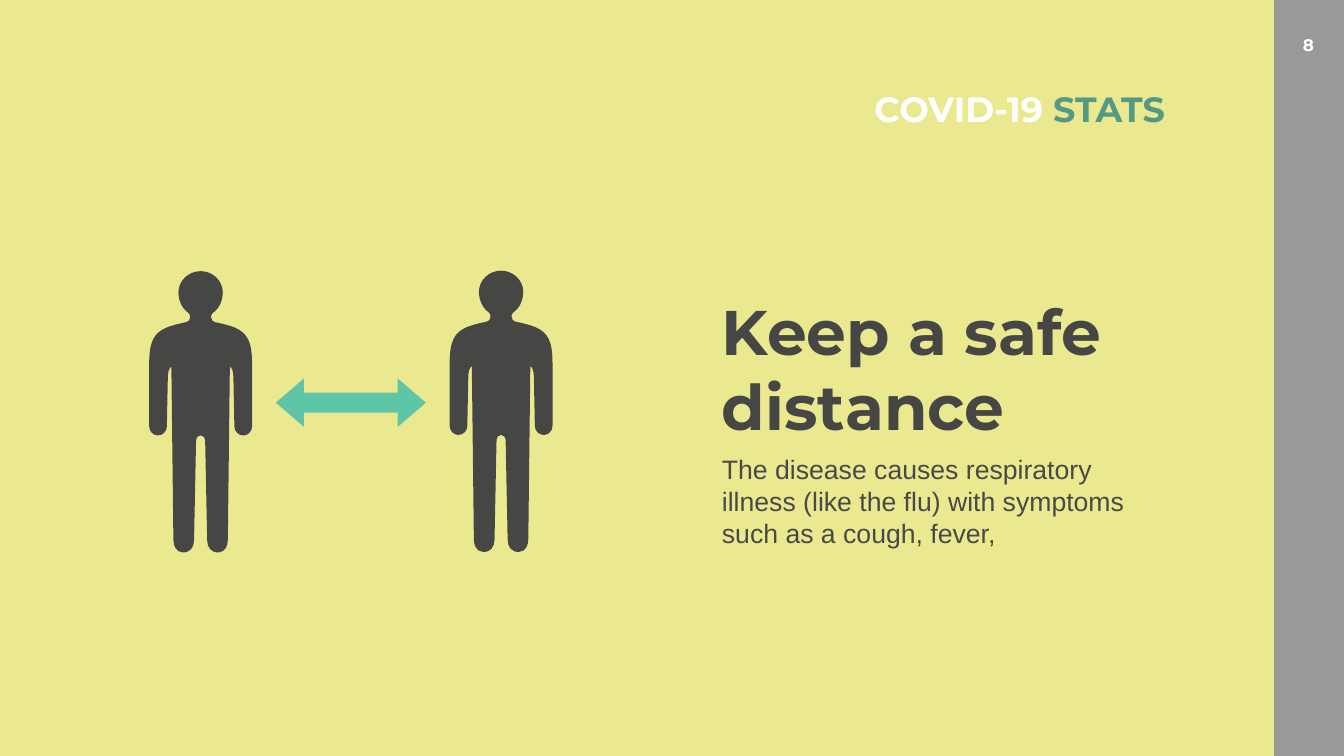
from lxml import etree
from pptx import Presentation
from pptx.dml.color import RGBColor
from pptx.enum.shapes import MSO_SHAPE
from pptx.enum.text import MSO_ANCHOR, MSO_AUTO_SIZE, PP_ALIGN
from pptx.oxml.ns import qn
from pptx.util import Pt

PX = 9144
WIDTH, HEIGHT = 2666, 1500
RECTANGLE = MSO_SHAPE.RECTANGLE
TOP = MSO_ANCHOR.TOP
NO_AUTOFIT = MSO_AUTO_SIZE.NONE
LEFT, CENTER, RIGHT = PP_ALIGN.LEFT, PP_ALIGN.CENTER, PP_ALIGN.RIGHT

YELLOW, GRAY, WHITE = "EBE990", "999999", "FFFFFF"
CHARCOAL, BODY_GRAY = "464745", "494949"
MINT, GREEN = "5FC5A7", "549983"
HEADING_FONT, BODY_FONT = "Montserrat", "Arial"

LEFT_HALF = [
    [(-24, 0), (-44, 19), (-44, 42)],
    [(-44, 56), (-38, 74), (-24, 83)],
    [(-22, 84), (-21, 86), (-21, 88)],
    [(-21, 92)],
    [(-21, 97), (-24, 100), (-28, 101)],
    [(-42, 104), (-55, 107), (-68, 112)],
    [(-93, 123), (-102, 140), (-102, 184)],
    [(-102, 308)],
    [(-102, 318), (-94, 326), (-85, 326)],
    [(-75, 326), (-67, 318), (-67, 308)],
    [(-65, 210)],
    [(-65, 199), (-62, 192), (-58, 189)],
    [(-54, 533)],
    [(-54, 545), (-49, 557), (-36, 558)],
    [(-21, 559), (-13, 548), (-13, 534)],
    [(-9, 335)],
    [(-9, 330), (-5, 326), (0, 326)],
]


def color(hex_code):
    return RGBColor.from_string(hex_code)


def place(shape, box):
    shape.left, shape.top, shape.width, shape.height = (n * PX for n in box)


def paint(shape, fill):
    shape.shadow.inherit = False
    shape.fill.solid()
    shape.fill.fore_color.rgb = color(fill)
    shape.line.fill.background()


def add_rectangle(slide, box, fill):
    paint(slide.shapes.add_shape(RECTANGLE, *(n * PX for n in box)), fill)


def add_outline(slide, points, fill):
    builder = slide.shapes.build_freeform(*points[0], scale=PX)
    builder.add_line_segments(points[1:])
    outline = builder.convert_to_shape()
    paint(outline, fill)
    return outline


def bend_segments(outline, sizes):
    lines = iter(list(outline.element.iter(qn("a:lnTo"))))
    for size in sizes:
        steps = [next(lines) for _ in range(size)]
        if size == 3:
            curve = etree.Element(qn("a:cubicBezTo"))
            steps[0].addprevious(curve)
            for step in steps:
                curve.append(step[0])
                step.getparent().remove(step)


def add_person(slide, center, top):
    half = [(0, 0)] + [point for segment in LEFT_HALF for point in segment]
    whole = half + [(-x, y) for x, y in reversed(half[:-1])]
    points = [(center + x, top + y) for x, y in whole]
    sizes = [len(segment) for segment in LEFT_HALF]
    bend_segments(add_outline(slide, points, CHARCOAL), sizes + sizes[::-1])


def add_distance_arrow(slide):
    add_rectangle(slide, (577, 779, 228, 40), MINT)
    for tip, base in ((547, 603), (845, 789)):
        add_outline(slide, [(tip, 799), (base, 847), (base, 751), (tip, 799)], MINT)


def format_run(run, font, size, fill, bold):
    run.font.name = font
    run.font.size = Pt(size)
    run.font.bold = bold
    run.font.color.rgb = color(fill)


def add_label(slide, box, parts, size, align):
    label = slide.shapes.add_textbox(*(n * PX for n in box))
    label.text_frame.word_wrap = False
    paragraph = label.text_frame.paragraphs[0]
    paragraph.alignment = align
    for text, fill in parts:
        run = paragraph.add_run()
        run.text = text
        format_run(run, HEADING_FONT, size, fill, True)


def fill_placeholder(holder, box, text, font, size, fill, bold):
    holder.element.getparent().append(holder.element)
    place(holder, box)
    frame = holder.text_frame
    frame.text = text
    frame.word_wrap = True
    frame.auto_size = NO_AUTOFIT
    frame.vertical_anchor = TOP
    for paragraph in frame.paragraphs:
        properties = paragraph._p.get_or_add_pPr()
        properties.set("marL", "0")
        properties.set("indent", "0")
        etree.SubElement(properties, qn("a:buNone"))
        paragraph.alignment = LEFT
        paragraph.space_before = Pt(0)
        for run in paragraph.runs:
            format_run(run, font, size, fill, bold)


def main():
    deck = Presentation()
    deck.slide_width, deck.slide_height = WIDTH * PX, HEIGHT * PX
    slide = deck.slides.add_slide(deck.slide_layouts[1])
    title, body = slide.placeholders

    add_rectangle(slide, (2520, 0, 146, HEIGHT), GRAY)
    add_label(slide, (2544, 64, 103, 51), [("8", WHITE)], 24, CENTER)
    add_rectangle(slide, (0, 0, 2527, HEIGHT), YELLOW)

    fill_placeholder(
        body, (1422, 894, 915, 202),
        "The disease causes respiratory illness (like the flu) "
        "with symptoms such as a cough, fever,",
        BODY_FONT, 38, BODY_GRAY, False)
    body.text_frame.margin_right = 30 * PX

    add_person(slide, 398, 538)
    add_person(slide, 994, 537)
    add_distance_arrow(slide)

    fill_placeholder(title, (1422, 575, 784, 313), "Keep a safe\ndistance",
                     HEADING_FONT, 90, CHARCOAL, True)
    add_label(slide, (1708, 169, 613, 94),
              [("COVID-19 ", WHITE), ("STATS", GREEN)], 50, RIGHT)
    deck.save("out.pptx")


if __name__ == "__main__":
    main()
